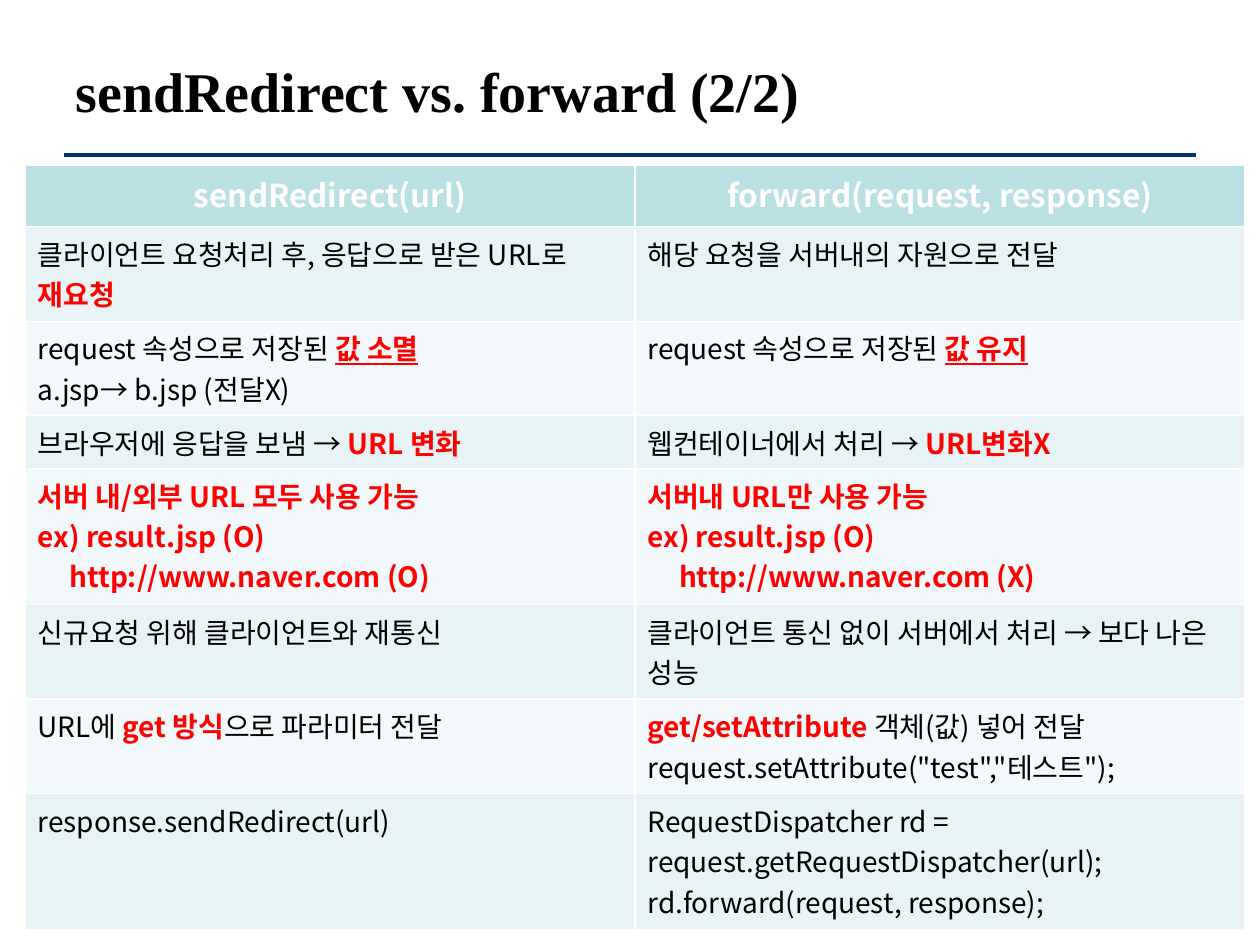
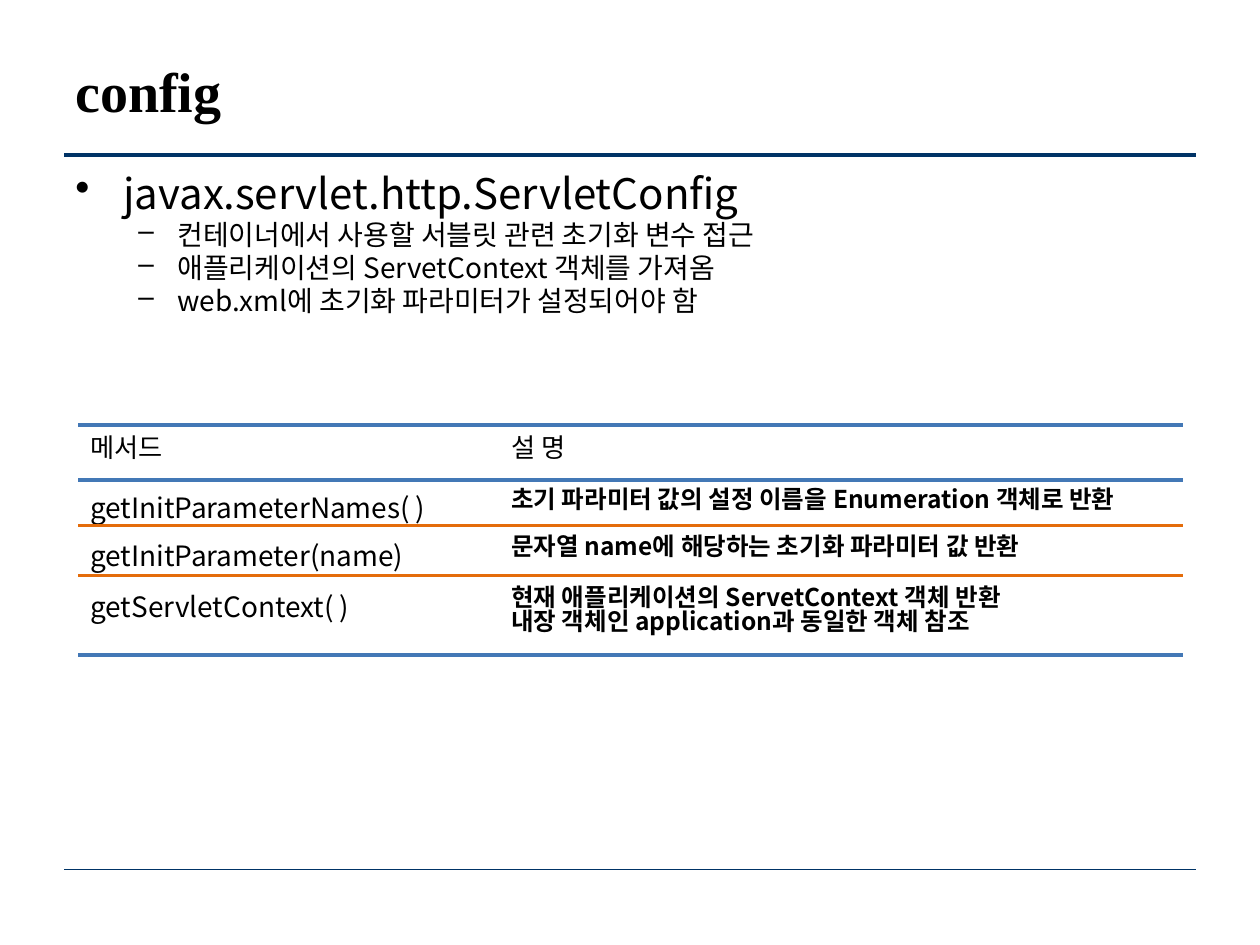
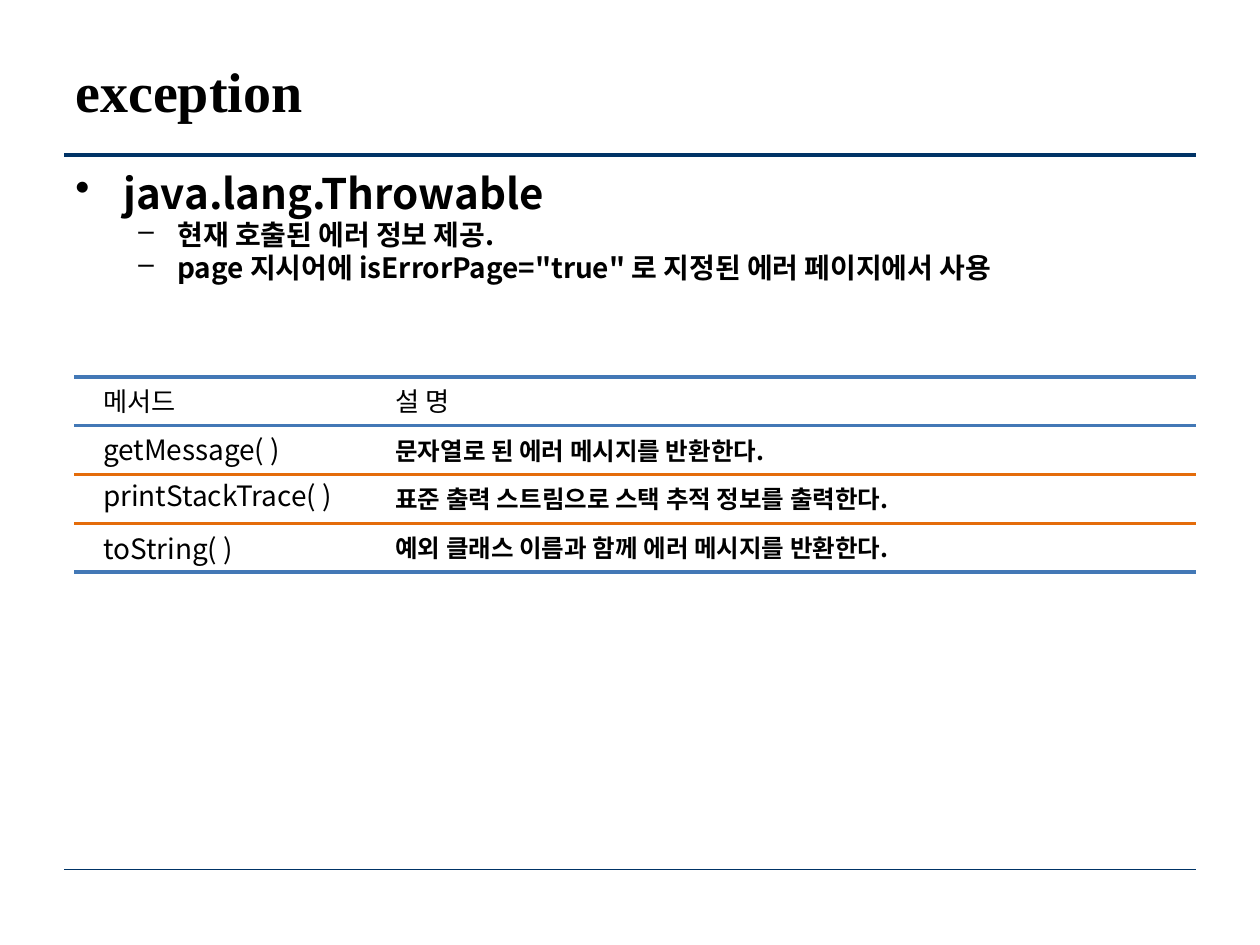
from pptx import Presentation
from pptx.dml.color import RGBColor
from pptx.enum.shapes import MSO_CONNECTOR
from pptx.enum.text import MSO_ANCHOR, PP_ALIGN
from pptx.oxml.ns import qn
from pptx.util import Inches, Pt
from lxml import etree

STRAIGHT = MSO_CONNECTOR.STRAIGHT
TOP, MIDDLE = MSO_ANCHOR.TOP, MSO_ANCHOR.MIDDLE
CENTER = PP_ALIGN.CENTER

# Shared look
NAVY, BLUE, ORANGE = "003366", "4378B6", "E46C0A"
BLACK, WHITE, RED = "000000", "FFFFFF", "FF0000"
HEADER_FILL, BAND_FILLS = "BBE0E3", ("E7F3F4", "F3F9FA")
SANS = "Noto Sans CJK KR"
TIGHT = 0.82

TITLE = {"name": "Times New Roman", "size": Pt(32), "bold": True, "color": BLACK}
TABLE_HEAD = {"name": SANS, "size": Pt(18), "bold": True, "color": WHITE}
PLAIN = {"name": SANS, "size": Pt(16), "bold": False, "color": BLACK}
STRONG = {**PLAIN, "bold": True, "color": RED}
UNDERLINED = {**STRONG, "underline": True}
LABEL = {**PLAIN, "size": Pt(15)}
DESCRIPTION = {**PLAIN, "size": Pt(14), "bold": True}

# Comparison: each cell is a list of paragraphs, each paragraph a list of runs
COMPARE_TITLE = "sendRedirect vs. forward (2/2)"
COMPARE_HEADS = ("sendRedirect(url)", "forward(request, response)")
COMPARE_ROWS = [
    ([[("클라이언트 요청처리 후, 응답으로 받은 URL로 ", PLAIN), ("재요청", STRONG)]],
     [[("해당 요청을 서버내의 자원으로 전달", PLAIN)]]),
    ([[("request 속성으로 저장된 ", PLAIN), ("값 소멸", UNDERLINED)],
      [("a.jsp→ b.jsp (전달X)", PLAIN)]],
     [[("request 속성으로 저장된 ", PLAIN), ("값 유지", UNDERLINED)]]),
    ([[("브라우저에 응답을 보냄 → ", PLAIN), ("URL 변화", STRONG)]],
     [[("웹컨테이너에서 처리 → ", PLAIN), ("URL변화X", STRONG)]]),
    ([[("서버 내/외부 URL 모두 사용 가능", STRONG)],
      [("ex) result.jsp (O)", STRONG)],
      [("http://www.naver.com (O)", STRONG)]],
     [[("서버내 URL만 사용 가능", STRONG)],
      [("ex) result.jsp (O)", STRONG)],
      [("http://www.naver.com (X)", STRONG)]]),
    ([[("신규요청 위해 클라이언트와 재통신", PLAIN)]],
     [[("클라이언트 통신 없이 서버에서 처리 → 보다 나은 성능", PLAIN)]]),
    ([[("URL에 ", PLAIN), ("get 방식", STRONG), ("으로 파라미터 전달", PLAIN)]],
     [[("get/setAttribute ", STRONG), ("객체(값) 넣어 전달", PLAIN)],
      [('request.setAttribute("test","테스트");', PLAIN)]]),
    ([[("response.sendRedirect(url)", PLAIN)]],
     [[("RequestDispatcher rd = request.getRequestDispatcher(url);", PLAIN)],
      [("rd.forward(request, response);", PLAIN)]]),
]
ROW_HEIGHTS = (0.49, 0.75, 0.75, 0.42, 1.08, 0.75, 0.75, 1.08)

# Implicit objects: rows hold method, its middle, description, its middle
OBJECTS = [
    {"title": "config", "bold": False,
     "class": "javax.servlet.http.ServletConfig",
     "notes": ["컨테이너에서 사용할 서블릿 관련 초기화 변수 접근",
               "애플리케이션의 ServetContext 객체를 가져옴",
               "web.xml에 초기화 파라미터가 설정되어야 함"],
     "span": (0.62, 9.39), "rules": (3.37, 3.81, 4.17, 4.57, 5.2),
     "columns": (0.62, 3.96), "head_middle": 3.55,
     "rows": [
         ("getInitParameterNames( )", 4.03,
          "초기 파라미터 값의 설정 이름을 Enumeration 객체로 반환", 3.96),
         ("getInitParameter(name)", 4.41,
          "문자열 name에 해당하는 초기화 파라미터 값 반환", 4.33),
         ("getServletContext( )", 4.81,
          "현재 애플리케이션의 ServetContext 객체 반환\v"
          "내장 객체인 application과 동일한 객체 참조", 4.85)]},
    {"title": "exception", "bold": True,
     "class": "java.lang.Throwable",
     "notes": ["현재 호출된 에러 정보 제공.",
               'page 지시어에 isErrorPage="true" 로 지정된 에러 페이지에서 사용'],
     "span": (0.59, 9.49), "rules": [2.99 + 0.3875 * i for i in range(5)],
     "columns": (0.72, 3.04), "head_middle": 3.18,
     "rows": [
         ("getMessage( )", 3.57, "문자열로 된 에러 메시지를 반환한다.", 3.58),
         ("printStackTrace( )", 3.93,
          "표준 출력 스트림으로 스택 추적 정보를 출력한다.", 3.96),
         ("toString( )", 4.35,
          "예외 클래스 이름과 함께 에러 메시지를 반환한다.", 4.35)]},
]


def rgb(value):
    return RGBColor.from_string(value)


def add_run(paragraph, text, style):
    for i, line in enumerate(text.split("\v")):
        if i:
            paragraph.add_line_break()
        run = paragraph.add_run()
        run.text = line
        for key, value in style.items():
            if key == "color":
                run.font.color.rgb = rgb(value)
            else:
                setattr(run.font, key, value)
        east_asian = etree.SubElement(run.font._element, qn("a:ea"))
        east_asian.set("typeface", style["name"])


def next_paragraph(frame, index):
    return frame.add_paragraph() if index else frame.paragraphs[0]


def add_box(slide, left, top, width, height, anchor=MIDDLE):
    box = slide.shapes.add_textbox(*map(Inches, (left, top, width, height)))
    box.text_frame.word_wrap = True
    box.text_frame.vertical_anchor = anchor
    return box.text_frame


def add_rule(slide, span, y, color, width):
    left, right = span
    rule = slide.shapes.add_connector(
        STRAIGHT, Inches(left), Inches(y), Inches(right), Inches(y))
    rule.line.color.rgb = rgb(color)
    rule.line.width = Pt(width)
    etree.SubElement(rule._element.spPr, qn("a:effectLst"))


def add_slide(deck, title):
    slide = deck.slides.add_slide(deck.slide_layouts[6])
    add_rule(slide, (0.51, 9.49), 1.23, NAVY, 2)
    add_run(add_box(slide, 0.5, 0.28, 9, 0.87).paragraphs[0], title, TITLE)
    return slide


def set_indent(paragraph, margin, hanging=0):
    properties = paragraph._p.get_or_add_pPr()
    properties.set("marL", str(Inches(margin)))
    properties.set("indent", str(-Inches(hanging)))
    return properties


def fill_cell(cell, color):
    cell.fill.solid()
    cell.fill.fore_color.rgb = rgb(color)
    properties = cell._tc.get_or_add_tcPr()
    for i, side in enumerate(("a:lnL", "a:lnR", "a:lnT", "a:lnB")):
        border = etree.Element(qn(side), w=str(Pt(1)))
        solid = etree.SubElement(border, qn("a:solidFill"))
        etree.SubElement(solid, qn("a:srgbClr"), val=WHITE)
        properties.insert(i, border)


def add_comparison(slide):
    table = slide.shapes.add_table(
        len(ROW_HEIGHTS), len(COMPARE_HEADS), Inches(0.2), Inches(1.31),
        Inches(9.68), Inches(sum(ROW_HEIGHTS))).table
    for row, height in zip(table.rows, ROW_HEIGHTS):
        row.height = Inches(height)
    for c, head in enumerate(COMPARE_HEADS):
        table.columns[c].width = Inches(4.84)
        cell = table.cell(0, c)
        fill_cell(cell, HEADER_FILL)
        paragraph = cell.text_frame.paragraphs[0]
        paragraph.alignment = CENTER
        add_run(paragraph, head, TABLE_HEAD)
    for r, row in enumerate(COMPARE_ROWS):
        for c, lines in enumerate(row):
            cell = table.cell(r + 1, c)
            fill_cell(cell, BAND_FILLS[r % 2])
            for i, runs in enumerate(lines):
                paragraph = next_paragraph(cell.text_frame, i)
                if runs[0][0].startswith("http"):
                    set_indent(paragraph, 0.25)
                for text, style in runs:
                    add_run(paragraph, text, style)


def add_outline(slide, item):
    frame = add_box(slide, 0.5, 1.31, 8.99, 5.39, TOP)
    frame.margin_top = Inches(0.09)
    for i, text in enumerate([item["class"], *item["notes"]]):
        paragraph = next_paragraph(frame, i)
        margin, hanging, bullet, size = (
            (0.81, 0.31, "–", 16) if i else (0.38, 0.38, "•", 24))
        paragraph.line_spacing = TIGHT
        if i:
            paragraph.level = 1
            paragraph.space_before = Pt(3.2)
        properties = set_indent(paragraph, margin, hanging)
        etree.SubElement(properties, qn("a:buChar"), char=bullet)
        add_run(paragraph, text, {**PLAIN, "size": Pt(size), "bold": item["bold"]})


def add_methods(slide, item):
    method_left, description_left = item["columns"]

    def add_entry(left, middle, width, text, style):
        paragraph = add_box(slide, left, middle - 0.22, width, 0.44).paragraphs[0]
        if "\v" in text:
            paragraph.line_spacing = TIGHT
        add_run(paragraph, text, style)

    add_entry(method_left, item["head_middle"], 2.2, "메서드", LABEL)
    add_entry(description_left, item["head_middle"], 4.65, "설 명", LABEL)
    for method, method_middle, description, description_middle in item["rows"]:
        add_entry(method_left, method_middle, description_left - method_left,
                  method, PLAIN)
        add_entry(description_left, description_middle, 5.6,
                  description, DESCRIPTION)
    for i, y in enumerate(item["rules"]):
        between_rows = i in (2, 3)
        add_rule(slide, item["span"], y, ORANGE if between_rows else BLUE,
                 1.5 if between_rows else 2.25)


def main():
    deck = Presentation()
    deck.slide_width, deck.slide_height = Inches(10), Inches(7.5)
    add_comparison(add_slide(deck, COMPARE_TITLE))
    for item in OBJECTS:
        slide = add_slide(deck, item["title"])
        add_rule(slide, (0.51, 9.49), 6.9, NAVY, 0.75)
        add_outline(slide, item)
        add_methods(slide, item)
    deck.save("out.pptx")


if __name__ == "__main__":
    main()
